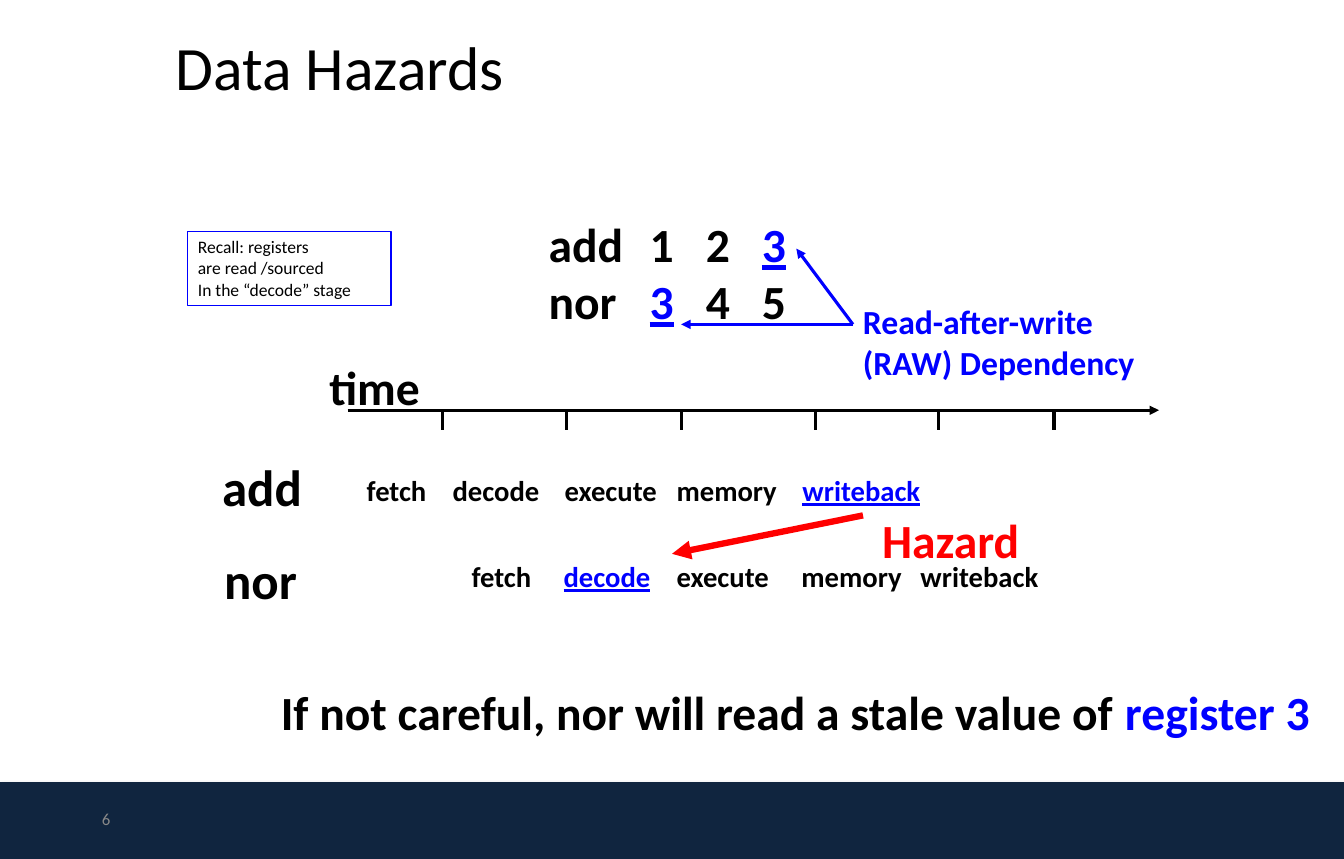
from lxml import etree
from pptx import Presentation
from pptx.dml.color import RGBColor
from pptx.enum.shapes import MSO_CONNECTOR, MSO_SHAPE
from pptx.enum.text import MSO_ANCHOR
from pptx.oxml.ns import qn
from pptx.util import Pt

STRAIGHT = MSO_CONNECTOR.STRAIGHT
RECTANGLE = MSO_SHAPE.RECTANGLE
TOP = MSO_ANCHOR.TOP
MIDDLE = MSO_ANCHOR.MIDDLE

FONT = "Calibri"
BLACK = "000000"
BLUE = "0000FF"
RED = "FF0000"
NAVY = "10253F"
GRAY = "888888"
SHADOW_GRAY = "808080"

AXIS_Y = 292.3
TICK_BOTTOM = 306
TICK_POSITIONS = (315.4, 403.9, 485.3, 581, 668.9, 751)
DEPENDENCY_START = (607.7, 231.1)


def color(value):
    return RGBColor.from_string(value)


def add_child(parent, tag, **attributes):
    return etree.SubElement(parent, qn(tag), attributes)


def add_tab_stops(paragraph, positions):
    tab_list = add_child(paragraph._p.get_or_add_pPr(), "a:tabLst")
    for position in positions:
        add_child(tab_list, "a:tab", pos=str(int(Pt(position))), algn="l")


def write_text(frame, lines, size, text_color=BLACK, bold=False, tabs=(),
               underline=True, anchor=TOP, spacing=None):
    frame.word_wrap = True
    frame.vertical_anchor = anchor
    for index, line in enumerate(lines):
        paragraph = frame.add_paragraph() if index else frame.paragraphs[0]
        if tabs:
            add_tab_stops(paragraph, tabs)
        if spacing:
            paragraph.line_spacing = spacing
        font = paragraph.font
        font.name = FONT
        font.size = Pt(size)
        font.bold = bold
        font.color.rgb = color(text_color)
        for part_index, part in enumerate(line.split("|")):
            if not part:
                continue
            run = paragraph.add_run()
            run.text = part
            if part_index % 2:
                run.font.color.rgb = color(BLUE)
                run.font.underline = underline


def add_text(slide, box, lines, size, **style):
    shape = slide.shapes.add_textbox(*map(Pt, box))
    write_text(shape.text_frame, lines, size, **style)


def add_line(slide, start, end, line_color=BLACK, width=2.25, arrow=False):
    connector = slide.shapes.add_connector(STRAIGHT, *map(Pt, (*start, *end)))
    connector.line.color.rgb = color(line_color)
    connector.line.width = Pt(width)
    if arrow:
        add_child(connector.line._get_or_add_ln(), "a:tailEnd", type="triangle")
    add_child(connector._element.spPr, "a:effectLst")


def add_footer_bar(slide):
    bar = slide.shapes.add_shape(RECTANGLE, *map(Pt, (0, 557.3, 957.6, 54.7)))
    bar.fill.solid()
    bar.fill.fore_color.rgb = color(NAVY)
    bar.line.fill.background()
    effects = add_child(bar._element.spPr, "a:effectLst")
    shadow = add_child(effects, "a:outerShdw", blurRad=str(int(Pt(3.1))),
                       dist=str(int(Pt(1.8))), dir="5400000", rotWithShape="0")
    shade = add_child(shadow, "a:srgbClr", val=SHADOW_GRAY)
    add_child(shade, "a:alpha", val="35000")


def add_recall_note(slide):
    note = slide.shapes.add_shape(RECTANGLE, *map(Pt, (133.9, 164.9, 144.7, 52.6)))
    note.shadow.inherit = False
    note.fill.background()
    note.line.color.rgb = color(BLUE)
    note.line.width = Pt(0.75)
    lines = ["Recall: registers", "are read /sourced", "In the “decode” stage"]
    write_text(note.text_frame, lines, 12.5)
    for paragraph in note.text_frame.paragraphs:
        paragraph.alignment = 1


def add_timeline(slide):
    add_line(slide, (247.7, AXIS_Y), (825.8, AXIS_Y), arrow=True)
    for x in TICK_POSITIONS:
        add_line(slide, (x, AXIS_Y), (x, TICK_BOTTOM))
    add_text(slide, (227.5, 251.3, 79.9, 48.2), ["time"], 33.9, bold=True)


def add_pipeline(slide, name, name_box, stages, stages_box, tabs):
    add_text(slide, name_box, [name], 36.3, bold=True)
    add_text(slide, stages_box, ["\t".join(stages)], 20.4, bold=True, tabs=tabs)


def main():
    presentation = Presentation()
    presentation.slide_width = Pt(957.6)
    presentation.slide_height = Pt(612)
    slide = presentation.slides.add_slide(presentation.slide_layouts[6])

    add_footer_bar(slide)
    add_text(slide, (65.5, 567.4, 215.3, 32.4), ["6"], 12,
             text_color=GRAY, anchor=MIDDLE)
    add_text(slide, (118.1, -0.7, 686.2, 102.2), ["Data Hazards"], 43.9,
             anchor=MIDDLE, spacing=0.9)
    add_recall_note(slide)

    add_text(slide, (383.8, 149.8, 185, 89.3),
             ["add\t1\t2\t|3|", "nor\t|3|\t4\t5"], 33.9,
             bold=True, tabs=(72, 112, 152))
    add_text(slide, (607.7, 211, 240, 65.5),
             ["Read-after-write (RAW) Dependency"], 24, text_color=BLUE, bold=True)
    for target in ((567.4, 177.1), (485.3, 231.1)):
        add_line(slide, DEPENDENCY_START, target, BLUE, arrow=True)

    add_timeline(slide)
    add_pipeline(slide, "add", (151.2, 321.1, 72, 51.1),
                 ("fetch", "decode", "execute", "memory", "|writeback|"),
                 (254.2, 333.4, 413.3, 31.7), (61.2, 141, 220.8, 310.5))
    add_pipeline(slide, "nor", (152.6, 387.4, 67, 51.1),
                 ("fetch", "|decode|", "execute", "memory", "writeback"),
                 (329, 394.6, 422.6, 31.7), (65.5, 146, 235, 319.8))

    add_line(slide, (614.9, 367.2), (478.8, 394.6), RED, 4.5, arrow=True)
    add_text(slide, (621.4, 360.7, 113, 48.2), ["Hazard"], 33.9,
             text_color=RED, bold=True)
    add_text(slide, (193, 483.1, 752.4, 48.2),
             ["If not careful, nor will read a stale value of |register 3|"], 33.9,
             bold=True, underline=False)

    presentation.save("out.pptx")


if __name__ == "__main__":
    main()
